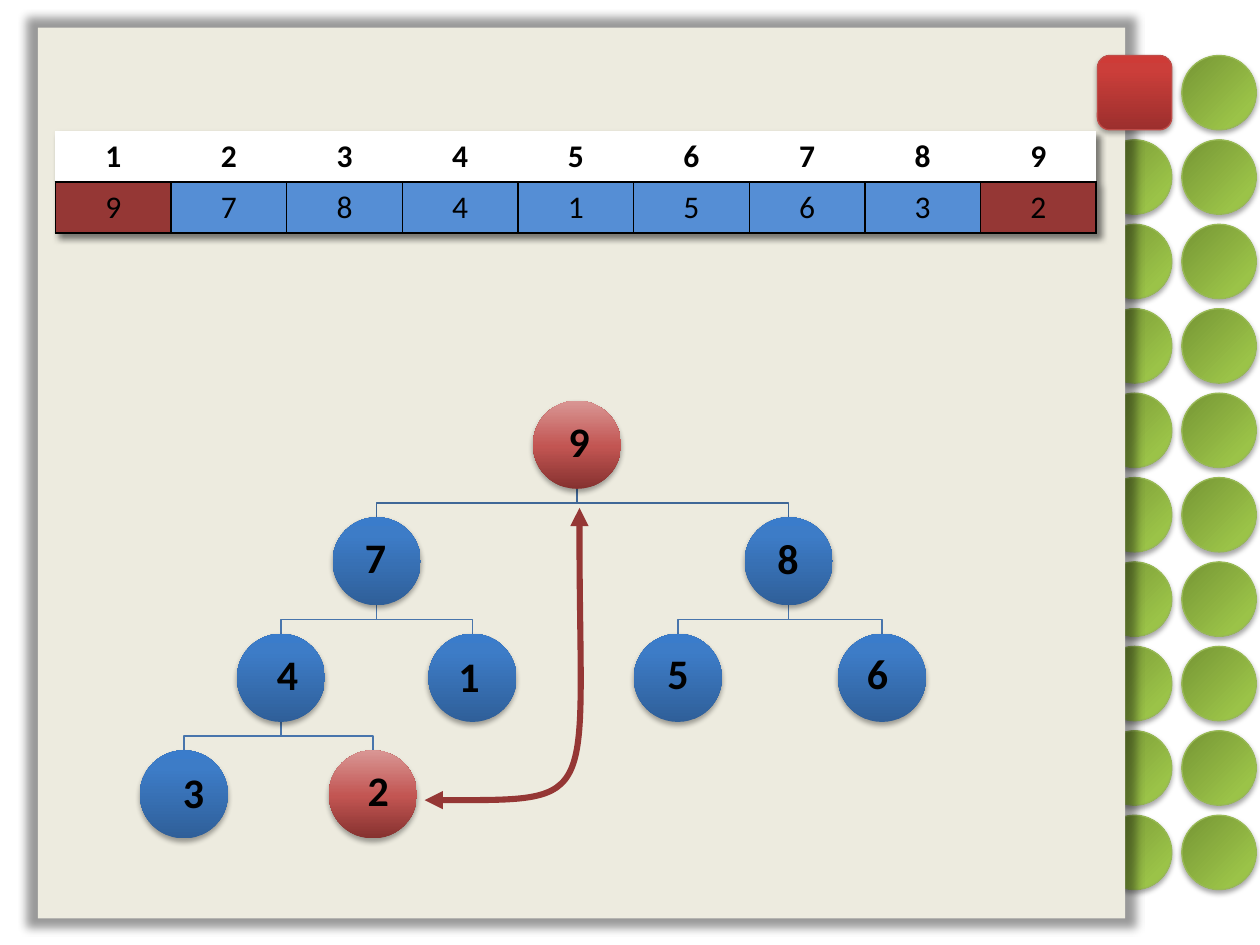
from dataclasses import dataclass

from pptx import Presentation
from pptx.dml.color import RGBColor
from pptx.enum import shapes, text
from pptx.oxml import parse_xml
from pptx.oxml.ns import nsdecls, qn
from pptx.util import Inches, Pt


@dataclass(frozen=True)
class Theme:
    font: str = "Calibri"
    ink: str = "000000"
    card: str = "EDEBDF"
    header: str = "FFFFFF"
    cell: str = "558ED5"
    accent: str = "953735"
    link_top: str = "3F6797"
    link: str = "4875AC"
    dot_line: str = "98B955"
    badge_line: str = "BF4C48"
    green: tuple = ((0, "769535"), (80, "9BC348"), (100, "9CC746"))
    badge: tuple = ((0, "9C2F2D"), (80, "CB3E3A"), (100, "CE3B37"))
    red: tuple = ((0, "85312F"), (48, "C25552"), (100, "D99694"))
    blue: tuple = ((0, "2F5F99"), (80, "3D7CC7"), (100, "3A7CCB"))
    table_size: int = 18
    node_size: int = 24


THEME = Theme()
DOT = 0.59
NODE = 0.7
TREE_TOP = 3.18
LEVEL_STEP = 0.925
HEAP = [9, 7, 8, 4, 1, 5, 6, 3, 2]
SWAPPED = (9, 2)
# Heap order: left of the node, then the box of its label
NODES = [
    (4.23, (4.34, 3.33, 0.51, 0.39)),
    (2.64, (2.75, 4.29, 0.46, 0.3)),
    (5.91, (6.07, 4.26, 0.37, 0.39)),
    (1.88, (2.1, 5.26, 0.24, 0.23)),
    (3.4, (3.54, 5.12, 0.45, 0.54)),
    (5.03, (5.17, 5.19, 0.42, 0.35)),
    (6.65, (6.65, 5.11, 0.63, 0.51)),
    (1.11, (1.36, 6.18, 0.19, 0.25)),
    (2.61, (2.82, 6.11, 0.29, 0.36)),
]


def shadow_xml(alpha=35, blur=3.1, distance=1.8, scale=100, align="t"):
    return parse_xml(
        f'<a:outerShdw {nsdecls("a")} blurRad="{Pt(blur)}" dist="{Pt(distance)}" '
        f'dir="5400000" sx="{scale * 1000}" sy="{scale * 1000}" algn="{align}" rotWithShape="0">'
        f'<a:srgbClr val="000000"><a:alpha val="{alpha * 1000}"/></a:srgbClr></a:outerShdw>')


def apply_gradient(shape, stops, angle):
    shape.fill.gradient()
    gradient = shape._element.spPr.find(qn("a:gradFill"))
    stop_xml = "".join(
        f'<a:gs pos="{position * 1000}"><a:srgbClr val="{color}"/></a:gs>'
        for position, color in stops)
    gradient.getparent().replace(gradient, parse_xml(
        f'<a:gradFill {nsdecls("a")} rotWithShape="1"><a:gsLst>{stop_xml}</a:gsLst>'
        f'<a:lin ang="{angle * 60000}" scaled="0"/></a:gradFill>'))


def set_line(shape, color, width):
    shape.line.color.rgb = RGBColor.from_string(color)
    shape.line.width = Pt(width)


def add_solid(slide, kind, box, fill, line=None, angle=270, **shadow):
    """Add a preset shape; fill is one colour or a tuple of gradient stops."""
    shape = slide.shapes.add_shape(kind, *map(Inches, box))
    if isinstance(fill, str):
        shape.fill.solid()
        shape.fill.fore_color.rgb = RGBColor.from_string(fill)
    else:
        apply_gradient(shape, fill, angle)
    if line:
        set_line(shape, line, 0.75)
    else:
        shape.line.fill.background()
    shape.shadow.inherit = False
    shape._element.spPr.find(qn("a:effectLst")).append(shadow_xml(**shadow))
    return shape


def write_text(frame, content, size, bold=False, align=text.PP_ALIGN.CENTER, spacing=None):
    paragraph = frame.paragraphs[0]
    paragraph.alignment = align
    paragraph.line_spacing = spacing
    run = paragraph.add_run()
    run.text = str(content)
    run.font.name = THEME.font
    run.font.size = Pt(size)
    run.font.bold = bold
    run.font.color.rgb = RGBColor.from_string(THEME.ink)


def add_open_path(slide, points, color, width):
    start, *rest = [(Inches(x), Inches(y)) for x, y in points]
    builder = slide.shapes.build_freeform(*start)
    builder.add_line_segments(rest, close=False)
    shape = builder.convert_to_shape()
    shape.fill.background()
    set_line(shape, color, width)
    shape.shadow.inherit = False
    return shape


def add_side_panel(slide):
    columns, top, step = (8.71, 9.38), 0.44, 0.67
    for row in range(10):
        for left in columns if row else columns[1:]:
            add_solid(slide, shapes.MSO_SHAPE.OVAL, (left, top + row * step, DOT, DOT),
                      THEME.green, THEME.dot_line, angle=45)
    add_solid(slide, shapes.MSO_SHAPE.RECTANGLE, (0.3, 0.22, 8.63, 7.07), THEME.card,
              alpha=40, blur=5, distance=0, scale=102, align="ctr")
    add_solid(slide, shapes.MSO_SHAPE.ROUNDED_RECTANGLE, (columns[0], top, DOT, DOT),
              THEME.badge, THEME.badge_line)


def node_top(index):
    level = (index + 1).bit_length() - 1
    return TREE_TOP + level * LEVEL_STEP


def add_link(slide, child):
    parent = (child - 1) // 2
    start_x, end_x = (NODES[index][0] + NODE / 2 for index in (parent, child))
    start_y, end_y = node_top(parent) + NODE, node_top(child)
    middle = (start_y + end_y) / 2
    points = [(start_x, start_y), (start_x, middle), (end_x, middle), (end_x, end_y)]
    add_open_path(slide, points, THEME.link if parent else THEME.link_top, 0.75)


def add_node(slide, index):
    value = HEAP[index]
    left, label_box = NODES[index]
    add_solid(slide, shapes.MSO_SHAPE.OVAL, (left, node_top(index), NODE, NODE),
              THEME.red if value in SWAPPED else THEME.blue)
    frame = slide.shapes.add_textbox(*map(Inches, label_box)).text_frame
    frame.word_wrap = True
    frame.vertical_anchor = text.MSO_ANCHOR.MIDDLE
    frame.margin_left = frame.margin_right = Inches(0.1)
    frame.margin_top = frame.margin_bottom = Inches(0.1)
    align = text.PP_ALIGN.LEFT if value == 1 else text.PP_ALIGN.CENTER
    write_text(frame, value, THEME.node_size, bold=True, align=align, spacing=0.9)


def add_borders(cell, sides):
    properties = cell._tc.get_or_add_tcPr()
    for position, side in enumerate(sides):
        properties.insert(position, parse_xml(
            f'<a:ln{side} {nsdecls("a")} w="{Pt(1)}"><a:solidFill>'
            f'<a:srgbClr val="{THEME.ink}"/></a:solidFill></a:ln{side}>'))


def add_array_table(slide):
    frame = slide.shapes.add_table(2, len(HEAP), *map(Inches, (0.44, 1.04, 8.26, 0.81)))
    table = frame.table
    table.first_row = table.horz_banding = False
    properties = table._tbl.tblPr
    properties.find(qn("a:tableStyleId")).text = "{2D5ABB26-0587-4C30-8999-92F81FD0307C}"
    effects = parse_xml(f'<a:effectLst {nsdecls("a")}/>')
    effects.append(shadow_xml(alpha=50, blur=4, distance=3, align="tl"))
    effects[0].set("dir", "2700000")
    properties.insert(0, effects)
    for column, value in enumerate(HEAP):
        value_fill = THEME.accent if value in SWAPPED else THEME.cell
        rows = [(column + 1, THEME.header, True, "B"), (value, value_fill, False, "LRTB")]
        for row, (content, fill, bold, sides) in enumerate(rows):
            cell = table.cell(row, column)
            cell.fill.solid()
            cell.fill.fore_color.rgb = RGBColor.from_string(fill)
            add_borders(cell, sides)
            write_text(cell.text_frame, content, THEME.table_size, bold=bold)


def add_swap_arrow(slide):
    """Draw the curved double arrow between the last leaf and the root."""
    start, end = (3.37, 6.35), (4.6, 4.03)
    arrow = add_open_path(slide, [start, end], THEME.accent, 3.5)
    segment = next(arrow._element.iter(qn("a:lnTo")))
    point_xml = "".join(
        f'<a:pt x="{Inches(x - start[0])}" y="{Inches(y - end[1])}"/>'
        for x, y in [(4.81, 6.35), (4.59, 6.4), end])
    segment.getparent().replace(segment, parse_xml(
        f'<a:cubicBezTo {nsdecls("a")}>{point_xml}</a:cubicBezTo>'))
    line = arrow._element.spPr.find(qn("a:ln"))
    for tip in ("headEnd", "tailEnd"):
        line.append(parse_xml(f'<a:{tip} {nsdecls("a")} type="triangle"/>'))


def main():
    presentation = Presentation()
    presentation.slide_width, presentation.slide_height = Inches(10), Inches(7.5)
    slide = presentation.slides.add_slide(presentation.slide_layouts[6])
    add_side_panel(slide)
    for child in range(1, len(HEAP)):
        add_link(slide, child)
    for index in range(len(HEAP)):
        add_node(slide, index)
    add_array_table(slide)
    add_swap_arrow(slide)
    presentation.save("out.pptx")


if __name__ == "__main__":
    main()
